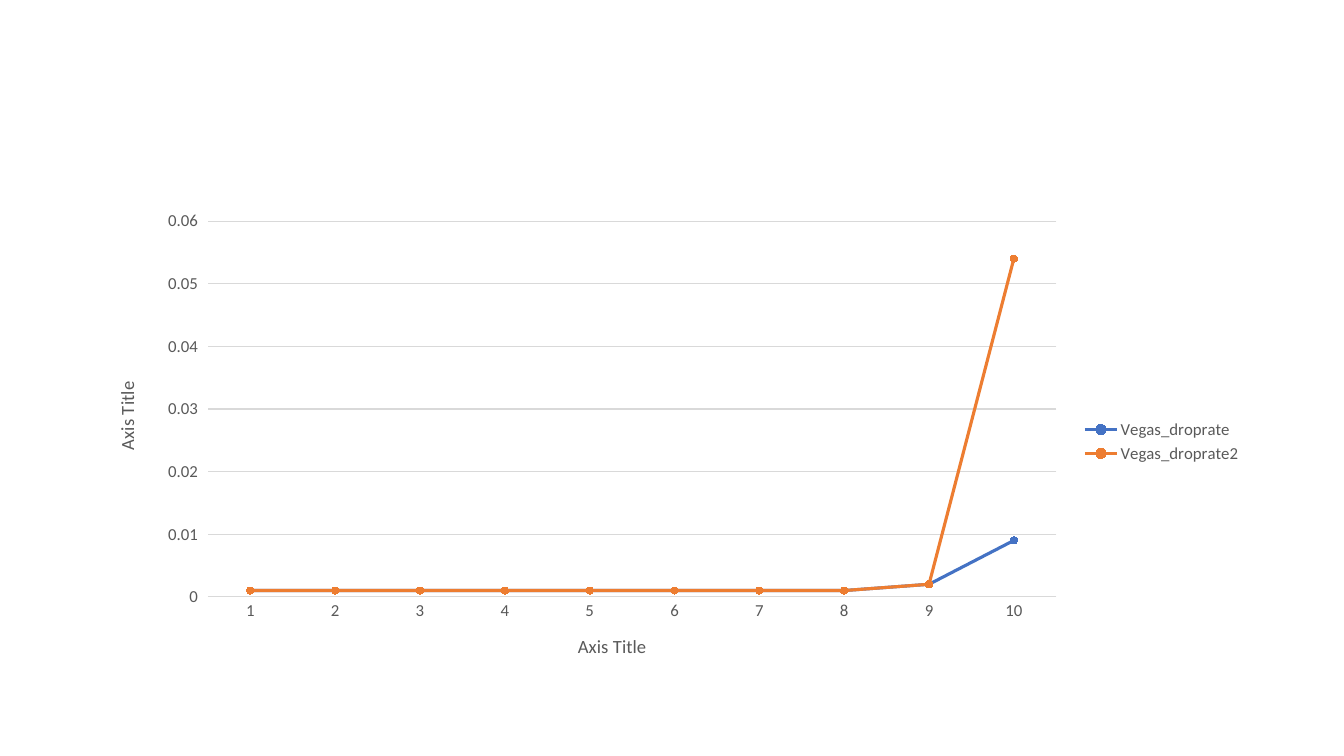
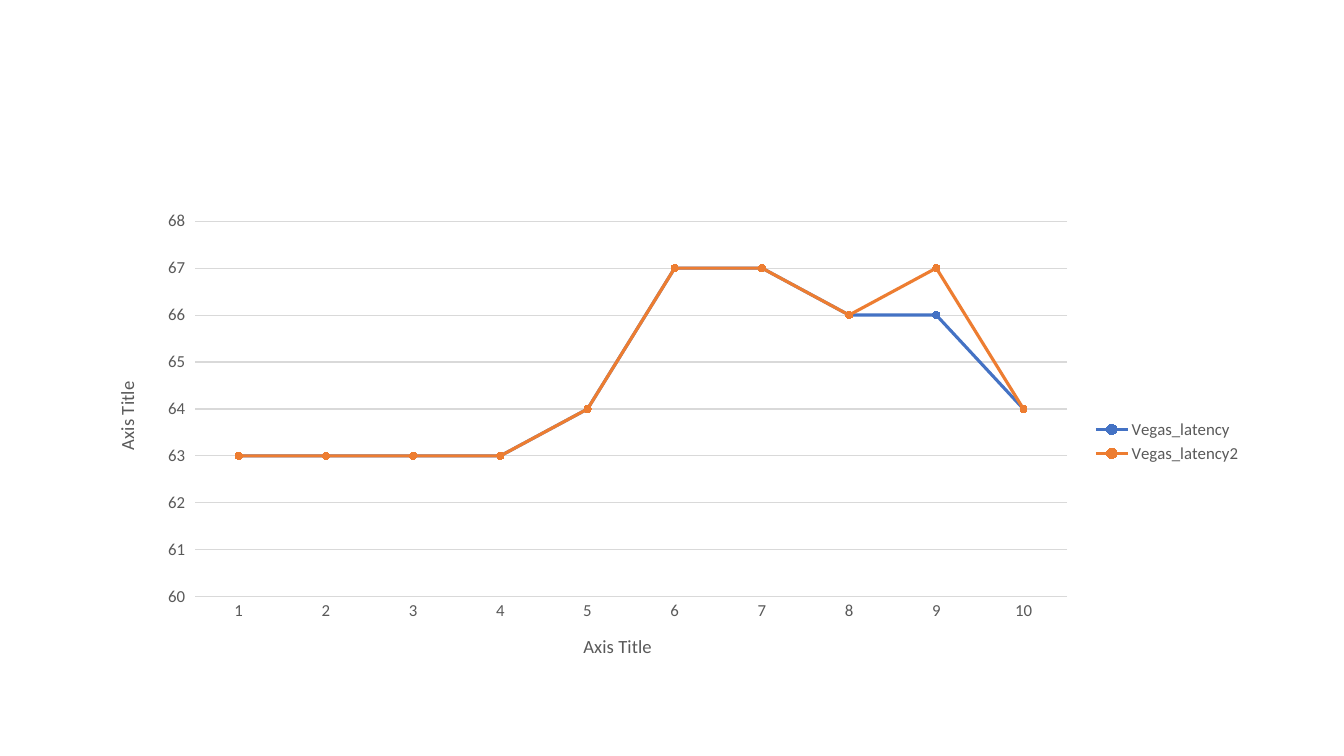
from dataclasses import dataclass

from pptx import Presentation
from pptx.chart.data import CategoryChartData
from pptx.dml.color import RGBColor
from pptx.enum.chart import XL_CHART_TYPE, XL_LEGEND_POSITION, XL_MARKER_STYLE, XL_TICK_MARK
from pptx.oxml.ns import qn
from pptx.util import Inches, Pt

LINES = XL_CHART_TYPE.LINE_MARKERS
RIGHT = XL_LEGEND_POSITION.RIGHT
CIRCLE = XL_MARKER_STYLE.CIRCLE
NONE, OUT = XL_TICK_MARK.NONE, XL_TICK_MARK.OUTSIDE


@dataclass(frozen=True)
class Theme:
    face: str = "Calibri"
    ink: RGBColor = RGBColor(0x59, 0x59, 0x59)
    rule: RGBColor = RGBColor(0xD9, 0xD9, 0xD9)
    hues: tuple = (RGBColor(0x44, 0x72, 0xC4), RGBColor(0xED, 0x7D, 0x31))
    label: float = 12
    title: float = 13.3
    thin: float = 0.75
    thick: float = 2.25
    dot: int = 5


THEME = Theme()
BOX = (0.92, 2, 11.5, 4.76)
CHARTS = (
    {
        "scale": {"minimum_scale": 0, "maximum_scale": 0.06, "major_unit": 0.01},
        "rows": {
            "Vegas_droprate": (0.001,) * 8 + (0.002, 0.009),
            "Vegas_droprate2": (0.001,) * 8 + (0.002, 0.054),
        },
    },
    {
        "scale": {"minimum_scale": 60, "maximum_scale": 68, "major_unit": 1},
        "rows": {
            "Vegas_latency": (63, 63, 63, 63, 64, 67, 67, 66, 66, 64),
            "Vegas_latency2": (63, 63, 63, 63, 64, 67, 67, 66, 67, 64),
        },
    },
)


def apply(item, values):
    for name, value in values.items():
        setattr(item, name, value)


def style_font(font, size):
    apply(font, {"name": THEME.face, "size": Pt(size), "bold": False})
    font.color.rgb = THEME.ink


def style_line(line, color, width):
    line.color.rgb = color
    line.width = Pt(width)


def style_axis(axis, tick, turn):
    apply(axis, {"major_tick_mark": tick, "minor_tick_mark": NONE})
    style_font(axis.tick_labels.font, THEME.label)
    title = axis.axis_title
    title.text_frame.text = "Axis Title"
    style_font(title.text_frame.paragraphs[0].runs[0].font, THEME.title)
    body = title.element.find(".//" + qn("a:bodyPr"))
    body.set("rot", str(turn * 60000))
    body.set("vert", "horz")


def style_series(series, color):
    series.smooth = False
    style_line(series.format.line, color, THEME.thick)
    mark = series.marker
    apply(mark, {"style": CIRCLE, "size": THEME.dot})
    mark.format.fill.solid()
    mark.format.fill.fore_color.rgb = color
    style_line(mark.format.line, color, THEME.thin)


def draw_chart(slide, box, scale, rows):
    data = CategoryChartData()
    data.categories = [str(step) for step in range(1, 11)]
    for name, values in rows.items():
        data.add_series(name, values)
    chart = slide.shapes.add_chart(LINES, *map(Inches, box), data).chart
    apply(chart, {"has_title": False, "has_legend": True})
    apply(chart.legend, {"position": RIGHT, "include_in_layout": False})
    style_font(chart.legend.font, THEME.label)
    chart.plots[0].vary_by_categories = False

    base, side = chart.category_axis, chart.value_axis
    style_axis(base, NONE, 0)
    style_line(base.format.line, THEME.rule, THEME.thin)
    style_axis(side, OUT, -90)
    apply(side, {**scale, "has_major_gridlines": True})
    side.format.line.fill.background()
    style_line(side.major_gridlines.format.line, THEME.rule, THEME.thin)
    for series, color in zip(chart.plots[0].series, THEME.hues):
        style_series(series, color)


def main():
    deck = Presentation()
    apply(deck, {"slide_width": Inches(13.33), "slide_height": Inches(7.5)})
    for chart in CHARTS:
        slide = deck.slides.add_slide(deck.slide_layouts[6])
        draw_chart(slide, BOX, **chart)
    deck.save("out.pptx")


main()
